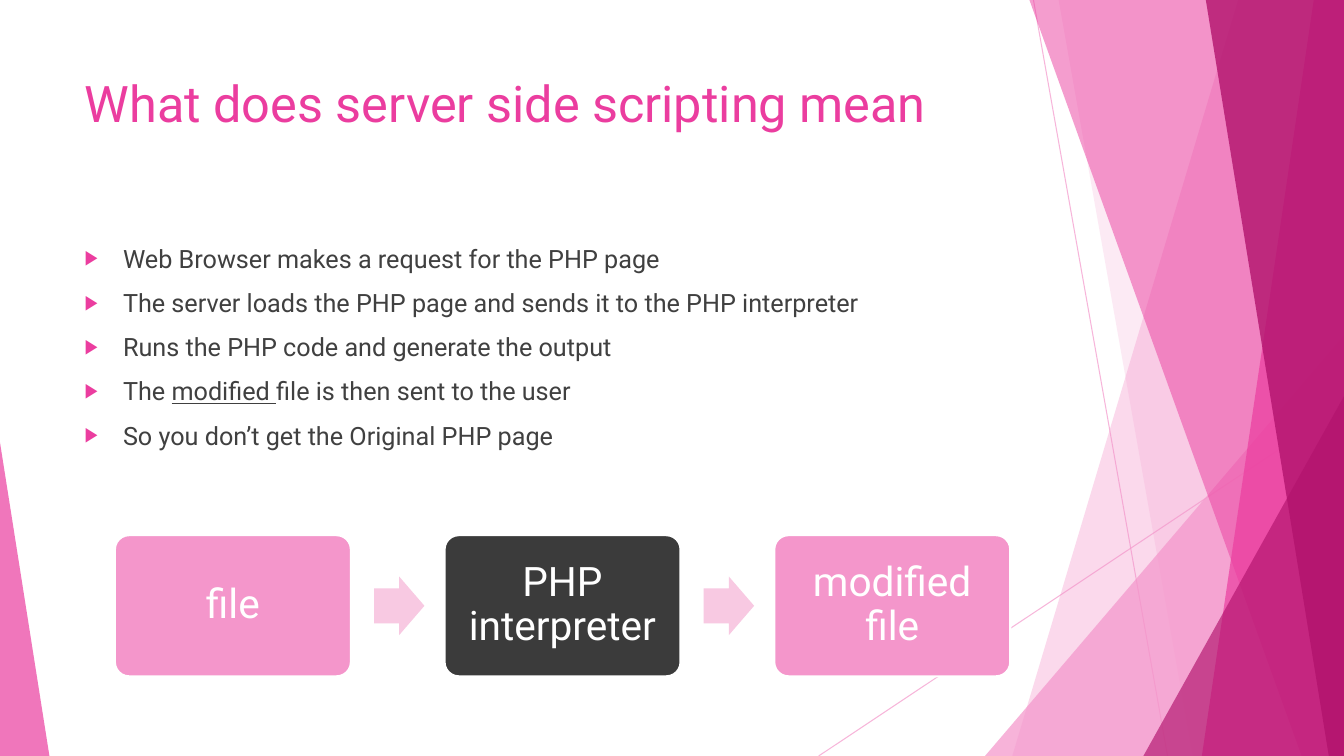
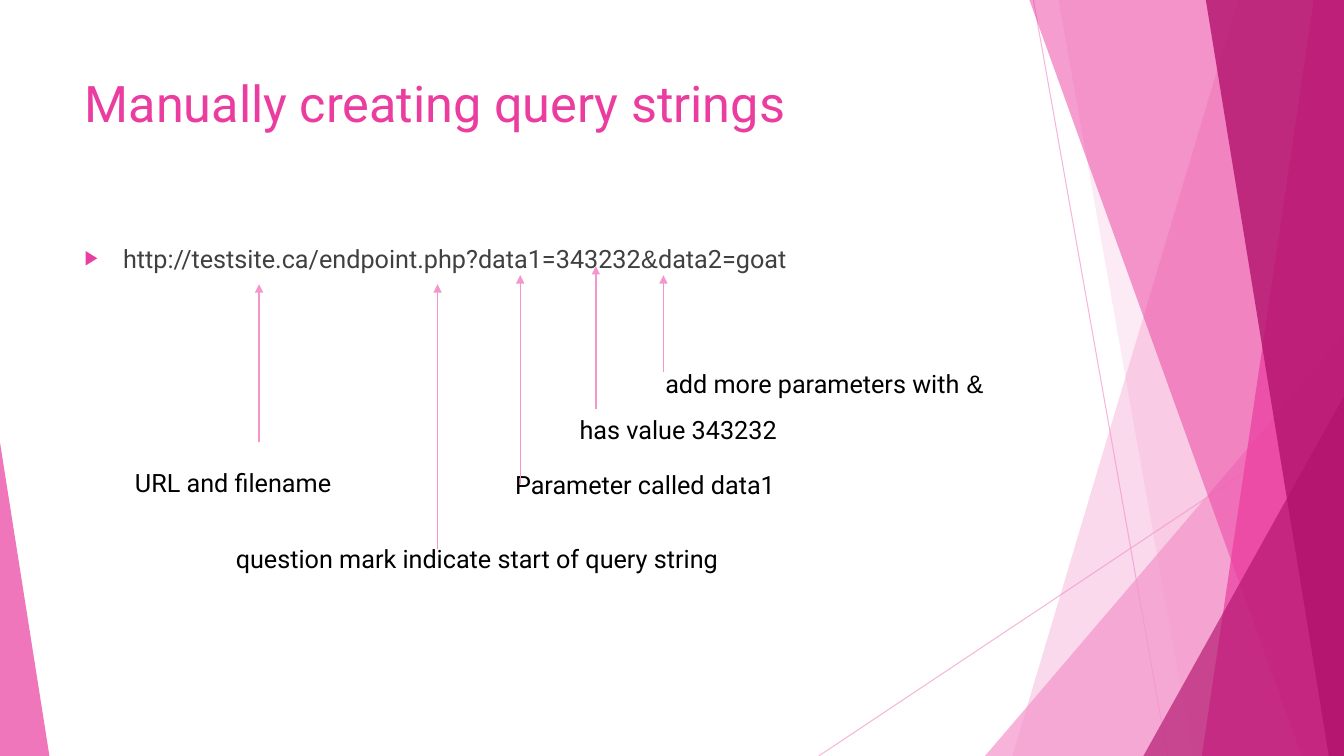
from typing import NamedTuple

from lxml.etree import SubElement
from pptx import Presentation
from pptx.dml.color import RGBColor
from pptx.enum.shapes import MSO_CONNECTOR, MSO_SHAPE
from pptx.enum.text import MSO_ANCHOR, MSO_AUTO_SIZE, PP_ALIGN
from pptx.oxml.ns import qn
from pptx.shapes.autoshape import Shape
from pptx.shapes.connector import Connector
from pptx.slide import Slide, SlideLayout
from pptx.text.text import TextFrame, _Paragraph, _Run
from pptx.util import Inches, Pt

# Shared style
PINK = RGBColor(0xEB, 0x3D, 0x9F)
LIGHT = RGBColor(0xF4, 0x96, 0xCB)
PALE = RGBColor(0xF8, 0xC9, 0xE2)
DEEP = RGBColor(0xB2, 0x13, 0x6D)
DARK = RGBColor(0x3B, 0x3B, 0x3B)
GREY = RGBColor(0x40, 0x40, 0x40)
BLACK = RGBColor(0, 0, 0)
WHITE = RGBColor(0xFF, 0xFF, 0xFF)
FONT = "Roboto"
WIDE, HIGH = 13.33, 7.5


class Bit(NamedTuple):
    text: str
    font: str = FONT
    under: bool = False


class Band(NamedTuple):
    """Runs from the top edge to the bottom edge, up to the right side."""
    top: float
    base: float
    color: RGBColor
    alpha: int


class Wedge(NamedTuple):
    left: float
    top: float
    width: float
    lean: float
    color: RGBColor
    alpha: int


class Step(NamedTuple):
    text: str
    color: RGBColor


class Label(NamedTuple):
    left: float
    top: float
    width: float
    bits: list[Bit]


class Arrow(NamedTuple):
    x: float
    tail: float
    head: float


RAYS = [(10.25, 0, 11.58, HIGH), (WIDE, 4.03, 8.12, HIGH)]
DECOR = [
    Band(12.28, 10.04, LIGHT, 36),
    Band(10.5, 11.83, LIGHT, 20),
    Wedge(9.77, 3.33, 3.56, 1, LIGHT, 72),
    Band(10.21, 12.91, PINK, 50),
    Band(13.03, 11.92, PINK, 70),
    Band(11.96, 13.18, DEEP, 80),
    Wedge(11.34, 3.93, 1.99, 1, DEEP, 66),
    Wedge(0, 4.39, 0.49, 0, PINK, 70),
]

POINTS = [
    [Bit("Web Browser makes a request for the PHP page")],
    [Bit("The server loads the PHP page and sends it to the PHP interpreter")],
    [Bit("Runs the PHP code and generate the output")],
    [Bit("The "), Bit("modified ", under=True), Bit("file is then sent to the user")],
    [Bit("So you don’t get the Original PHP page")],
]
STEPS = [Step("file", LIGHT), Step("PHP interpreter", DARK), Step("modified file", LIGHT)]

QUERY = [[Bit("http://testsite.ca/endpoint.php?data1=343232"),
          Bit("&", "Arial"), Bit("data2=goat")]]
LABELS = [
    Label(1.24, 4.59, 2.19, [Bit("URL and filename")]),
    Label(2.24, 5.34, 5.39, [Bit("question mark indicate start of query string")]),
    Label(5.01, 4.61, 3.16, [Bit("Parameter called data1")]),
    Label(5.65, 4.06, 2.29, [Bit("has value 343232")]),
    Label(6.5, 3.6, 3.47, [Bit("add more parameters with"), Bit(" &", "Arial")]),
]
ARROWS = [
    Arrow(2.57, 4.39, 2.82),
    Arrow(4.34, 5.45, 2.82),
    Arrow(5.16, 4.8, 2.73),
    Arrow(5.91, 4.06, 2.64),
    Arrow(6.58, 3.69, 2.73),
]


# Basic helpers
def style(run: _Run, size: float, color: RGBColor, font: str = FONT) -> None:
    run.font.size = Pt(size)
    run.font.name = font
    run.font.color.rgb = color


def fade(shape: Shape | Connector, alpha: int) -> None:
    color = shape.element.spPr.find(".//" + qn("a:srgbClr"))
    SubElement(color, qn("a:alpha"), val=str(alpha * 1000))


def paint(shape: Shape, color: RGBColor) -> None:
    shape.shadow.inherit = False
    shape.fill.solid()
    shape.fill.fore_color.rgb = color
    shape.line.fill.background()


def add_line(slide: Slide, x1: float, y1: float, x2: float, y2: float,
             width: float) -> Connector:
    line = slide.shapes.add_connector(
        MSO_CONNECTOR.STRAIGHT, Inches(x1), Inches(y1), Inches(x2), Inches(y2))
    line.line.color.rgb = LIGHT
    line.line.width = Pt(width)
    SubElement(line.element.spPr, qn("a:effectLst"))
    return line


def add_bits(para: _Paragraph, bits: list[Bit], color: RGBColor) -> None:
    for bit in bits:
        run = para.add_run()
        run.text = bit.text
        style(run, 18, color, bit.font)
        if bit.under:
            run.font.underline = True


def add_bullet(para: _Paragraph) -> None:
    para.space_before = Pt(10)
    props = para._p.get_or_add_pPr()
    props.set("marL", str(Inches(0.38)))
    props.set("indent", str(-Inches(0.38)))
    SubElement(SubElement(props, qn("a:buClr")), qn("a:srgbClr"), val=str(PINK))
    SubElement(props, qn("a:buSzPct"), val="80000")
    SubElement(props, qn("a:buChar"), char="▶")


# Shared backdrop
def draw_band(slide: Slide, band: Band) -> Shape:
    form = slide.shapes.build_freeform(Inches(band.top), 0)
    form.add_line_segments([(Inches(x), Inches(y)) for x, y in
                            [(WIDE, 0), (WIDE, HIGH), (band.base, HIGH)]])
    return form.convert_to_shape()


def draw_wedge(slide: Slide, wedge: Wedge) -> Shape:
    shape = slide.shapes.add_shape(
        MSO_SHAPE.ISOSCELES_TRIANGLE, Inches(wedge.left), Inches(wedge.top),
        Inches(wedge.width), Inches(HIGH - wedge.top))
    shape.adjustments[0] = wedge.lean
    return shape


def add_decor(slide: Slide, layout: SlideLayout) -> None:
    """Draw the backdrop once and hand it to the layout."""
    items: list[Shape | Connector] = []
    for ray in RAYS:
        line = add_line(slide, *ray, width=0.75)
        fade(line, 70)
        items.append(line)
    for piece in DECOR:
        draw = draw_band if isinstance(piece, Band) else draw_wedge
        shape = draw(slide, piece)
        paint(shape, piece.color)
        fade(shape, piece.alpha)
        items.append(shape)
    for holder in list(layout.placeholders):
        if holder.placeholder_format.idx >= 10:
            holder.element.getparent().remove(holder.element)
    for spot, item in enumerate(items, start=2):
        layout.shapes.element.insert(spot, item.element)


# Title and list
def set_frame(shape: Shape, top: float, height: float) -> TextFrame:
    shape.left, shape.top = Inches(0.74), Inches(top)
    shape.width, shape.height = Inches(9.4), Inches(height)
    frame = shape.text_frame
    frame.vertical_anchor = MSO_ANCHOR.TOP
    frame.auto_size = MSO_AUTO_SIZE.NONE
    return frame


def fill_slide(slide: Slide, title: str, points: list[list[Bit]]) -> None:
    head = set_frame(slide.shapes.title, 0.67, 1.44)
    head.text = title
    head.paragraphs[0].alignment = PP_ALIGN.LEFT
    style(head.paragraphs[0].runs[0], 36, PINK)
    body = set_frame(slide.placeholders[1], 2.36, 4.24)
    for i, bits in enumerate(points):
        para = body.add_paragraph() if i else body.paragraphs[0]
        add_bullet(para)
        add_bits(para, bits, GREY)


# Flow of boxes
def add_step(slide: Slide, step: Step, left: float) -> None:
    box = slide.shapes.add_shape(MSO_SHAPE.ROUNDED_RECTANGLE, Inches(left),
                                 Inches(5.31), Inches(2.34), Inches(1.4))
    box.adjustments[0] = 0.1
    paint(box, step.color)
    box.line.color.rgb = WHITE
    box.line.width = Pt(1.5)
    frame = box.text_frame
    frame.word_wrap = True
    frame.vertical_anchor = MSO_ANCHOR.MIDDLE
    frame.margin_left = frame.margin_right = Inches(0.16)
    frame.text = step.text
    para = frame.paragraphs[0]
    para.alignment = PP_ALIGN.CENTER
    para.line_spacing = 0.9
    style(para.runs[0], 29, WHITE)


def add_flow(slide: Slide) -> None:
    pitch = 3.27
    for i, step in enumerate(STEPS):
        if i:
            arrow = slide.shapes.add_shape(
                MSO_SHAPE.RIGHT_ARROW, Inches(0.44 + i * pitch), Inches(5.72),
                Inches(0.5), Inches(0.58))
            arrow.adjustments[0] = 0.6
            paint(arrow, PALE)
        add_step(slide, step, 1.14 + i * pitch)


# Notes on the query string
def add_label(slide: Slide, label: Label) -> None:
    box = slide.shapes.add_textbox(Inches(label.left), Inches(label.top),
                                   Inches(label.width), Inches(0.4))
    box.text_frame.word_wrap = False
    box.text_frame.auto_size = MSO_AUTO_SIZE.SHAPE_TO_FIT_TEXT
    add_bits(box.text_frame.paragraphs[0], label.bits, BLACK)


def add_arrow(slide: Slide, arrow: Arrow) -> None:
    line = add_line(slide, arrow.x, arrow.tail, arrow.x, arrow.head, 1)
    SubElement(line.element.spPr.find(qn("a:ln")), qn("a:tailEnd"), type="triangle")


def main() -> None:
    deck = Presentation()
    deck.slide_width, deck.slide_height = Inches(WIDE), Inches(HIGH)
    layout = deck.slide_layouts[1]

    # Server side scripting
    slide = deck.slides.add_slide(layout)
    add_decor(slide, layout)
    fill_slide(slide, "What does server side scripting mean", POINTS)
    add_flow(slide)

    # Query strings
    slide = deck.slides.add_slide(layout)
    fill_slide(slide, "Manually creating query strings", QUERY)
    for label in LABELS:
        add_label(slide, label)
    for arrow in ARROWS:
        add_arrow(slide, arrow)

    deck.save("out.pptx")


if __name__ == "__main__":
    main()
